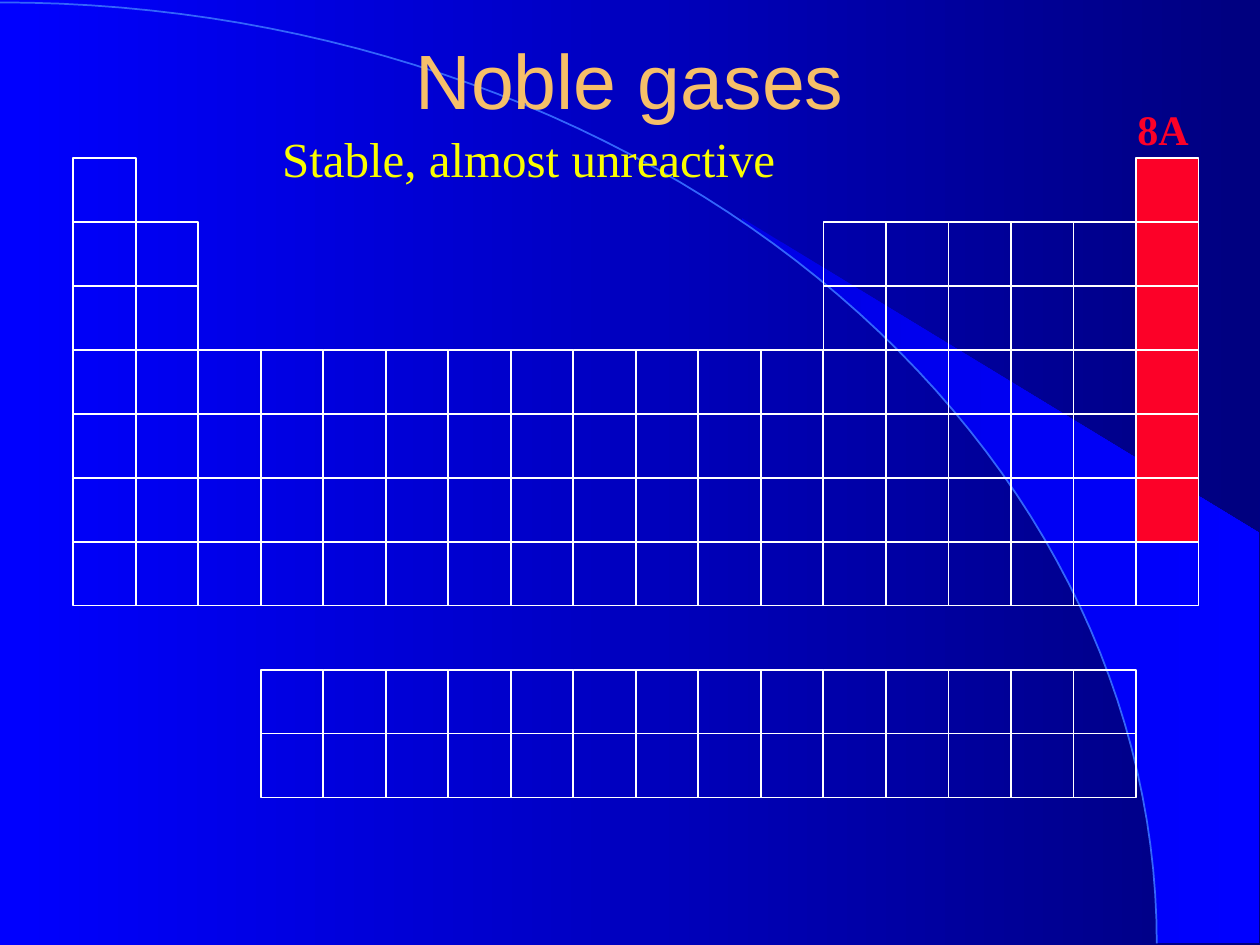
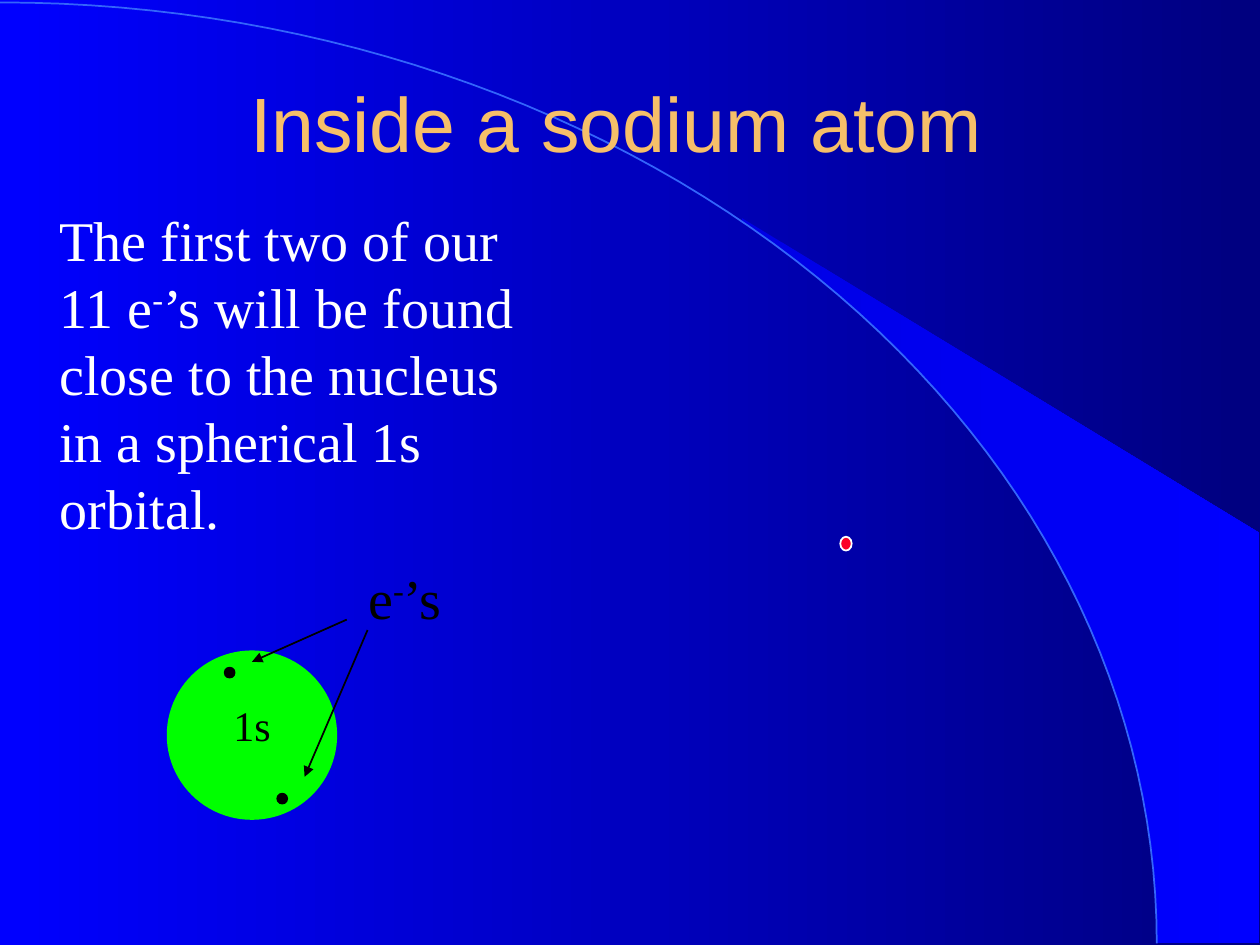
from dataclasses import dataclass
from math import asin, cos, pi, sin

from lxml.etree import SubElement
from pptx import Presentation
from pptx.dml.color import RGBColor
from pptx.enum.shapes import MSO_CONNECTOR, MSO_SHAPE
from pptx.enum.text import MSO_ANCHOR, PP_ALIGN
from pptx.oxml.ns import qn
from pptx.util import Cm, Pt


@dataclass(frozen=True)
class Theme:
    background: tuple = ("0000FF", "00007F")
    wedge: tuple = ("0000E5", "0000FF")
    arc: str = "3365FB"
    title: str = "F6BF69"
    yellow: str = "FAFD00"
    red: str = "FC0128"
    green: str = "00FF00"
    white: str = "FFFFFF"
    black: str = "000000"
    heading_font: str = "Arial"
    body_font: str = "Times New Roman"
    title_size: int = 44
    body_size: int = 32
    remark_size: int = 28
    label_size: int = 24
    line_width: int = 1


THEME = Theme()
SLIDE_WIDTH, SLIDE_HEIGHT = 25.4, 19.05

# Quarter ellipse behind every slide, in cm
ARC_BOTTOM, ARC_WIDTH, ARC_HEIGHT = 19.02, 23.32, 18.97
WEDGE_TIP = (14.96, 4.4)
WEDGE_RIGHT_TOP = 10.74

# Periodic table grid, in cm: occupied columns by row
TABLE_LEFT, TABLE_TOP = 1.48, 3.18
CELL_WIDTH, CELL_HEIGHT = 1.26, 1.29
LAST_COLUMN = 17
MAIN_GROUPS = [0, 1, *range(12, 18)]
ROW_COLUMNS = {
    0: [0, LAST_COLUMN],
    1: MAIN_GROUPS,
    2: MAIN_GROUPS,
    **{row: range(18) for row in range(3, 7)},
    **{row: range(3, 17) for row in (8, 9)},
}
NOBLE_GAS_ROWS = range(6)


def color(value):
    return RGBColor.from_string(value)


def apply_format(target, values):
    for name, value in values.items():
        setattr(target, name, value)


def fill_gradient(fill, stops):
    fill.gradient()
    fill.gradient_angle = 0
    for stop, value in zip(fill.gradient_stops, stops):
        stop.color.rgb = color(value)


def style_line(line, line_color):
    line.color.rgb = color(line_color)
    line.width = Pt(THEME.line_width)


# Shared background
def arc_points(start_angle, steps=60):
    angles = [start_angle + (pi / 2 - start_angle) * step / steps
              for step in range(steps + 1)]
    return [(ARC_WIDTH * sin(angle), ARC_BOTTOM - ARC_HEIGHT * cos(angle))
            for angle in angles]


def add_outline(slide, points, close):
    (start_x, start_y), *others = [(Cm(x), Cm(y)) for x, y in points]
    builder = slide.shapes.build_freeform(start_x, start_y)
    builder.add_line_segments(others, close=close)
    shape = builder.convert_to_shape()
    shape.shadow.inherit = False
    return shape


def add_background(slide):
    fill_gradient(slide.background.fill, THEME.background)
    tip_angle = asin(WEDGE_TIP[0] / ARC_WIDTH)
    corners = [(SLIDE_WIDTH - 0.02, ARC_BOTTOM),
               (SLIDE_WIDTH - 0.02, WEDGE_RIGHT_TOP), WEDGE_TIP]
    wedge = add_outline(slide, corners + arc_points(tip_angle), close=True)
    fill_gradient(wedge.fill, THEME.wedge)
    wedge.line.fill.background()
    arc = add_outline(slide, arc_points(0), close=False)
    arc.fill.background()
    style_line(arc.line, THEME.arc)


# Elements
def add_text(slide, box, parts, size, text_color, font=THEME.body_font,
             align=PP_ALIGN.LEFT, anchor=MSO_ANCHOR.TOP, bold=False):
    """Parts alternate between normal and superscript text."""
    frame = slide.shapes.add_textbox(*map(Cm, box)).text_frame
    apply_format(frame, {"word_wrap": True, "vertical_anchor": anchor})
    paragraph = frame.paragraphs[0]
    paragraph.alignment = align
    for index, part in enumerate(parts):
        run = paragraph.add_run()
        run.text = part
        apply_format(run.font, {"name": font, "size": Pt(size), "bold": bold})
        run.font.color.rgb = color(text_color)
        if index % 2:
            run.font._element.set("baseline", "30000")


def add_title(slide, text, left, top):
    add_text(slide, (left, top, 21.59, 3.18), [text], THEME.title_size,
             THEME.title, THEME.heading_font, PP_ALIGN.CENTER,
             MSO_ANCHOR.MIDDLE)


def add_preset(slide, kind, box, line_color, fill_color=None):
    shape = slide.shapes.add_shape(kind, *map(Cm, box))
    shape.shadow.inherit = False
    style_line(shape.line, line_color)
    if fill_color:
        shape.fill.solid()
        shape.fill.fore_color.rgb = color(fill_color)
    else:
        shape.fill.background()


def add_arrow(slide, start, end):
    arrow = slide.shapes.add_connector(
        MSO_CONNECTOR.STRAIGHT, *map(Cm, start + end))
    style_line(arrow.line, THEME.black)
    SubElement(arrow.line._get_or_add_ln(), qn("a:tailEnd"), type="triangle")
    SubElement(arrow._element.spPr, qn("a:effectLst"))


def add_periodic_table(slide):
    for row, columns in ROW_COLUMNS.items():
        for column in columns:
            noble = column == LAST_COLUMN and row in NOBLE_GAS_ROWS
            box = (TABLE_LEFT + column * CELL_WIDTH,
                   TABLE_TOP + row * CELL_HEIGHT, CELL_WIDTH, CELL_HEIGHT)
            add_preset(slide, MSO_SHAPE.RECTANGLE, box, THEME.white,
                       THEME.red if noble else None)


# Slides
def build_noble_gases(slide):
    add_title(slide, "Noble gases", 1.9, 0)
    add_periodic_table(slide)
    add_text(slide, (5.44, 2.46, 14.5, 1.45), ["Stable, almost unreactive"],
             THEME.remark_size, THEME.yellow)
    add_text(slide, (22.68, 1.96, 1.75, 1.27), ["8A"], THEME.label_size,
             THEME.red, bold=True)


def build_sodium_atom(slide):
    add_title(slide, "Inside a sodium atom ", 1.85, 0.86)
    add_text(slide, (0.95, 4.01, 9.87, 8.89),
             ["The first two of our 11 e", "-",
              "’s will be found close to the nucleus in a spherical "
              "1s orbital."],
             THEME.body_size, THEME.white)

    # Nucleus, 1s orbital and its two electrons
    ovals = [
        ((16.94, 10.82, 0.23, 0.28), THEME.white, THEME.red),
        ((3.38, 13.13, 3.4, 3.38), THEME.green, THEME.green),
        ((5.59, 16, 0.2, 0.2), THEME.black, THEME.black),
        ((4.53, 13.46, 0.2, 0.2), THEME.black, THEME.black),
    ]
    for box, line_color, fill_color in ovals:
        add_preset(slide, MSO_SHAPE.OVAL, box, line_color, fill_color)

    # Labels and arrows
    add_text(slide, (6.99, 11.23, 2.34, 1.6), ["e", "-", "’s"],
             THEME.body_size, THEME.black, align=PP_ALIGN.CENTER)
    add_arrow(slide, (7.41, 12.7), (6.14, 15.66))
    add_arrow(slide, (6.99, 12.49), (5.08, 13.34))
    add_text(slide, (3.81, 13.97, 2.54, 1.27), ["1s"], THEME.label_size,
             THEME.black, align=PP_ALIGN.CENTER)


def main():
    presentation = Presentation()
    apply_format(presentation, {"slide_width": Cm(SLIDE_WIDTH),
                                "slide_height": Cm(SLIDE_HEIGHT)})
    blank_layout = presentation.slide_layouts[6]
    for build in (build_noble_gases, build_sodium_atom):
        slide = presentation.slides.add_slide(blank_layout)
        add_background(slide)
        build(slide)
    presentation.save("out.pptx")


if __name__ == "__main__":
    main()
